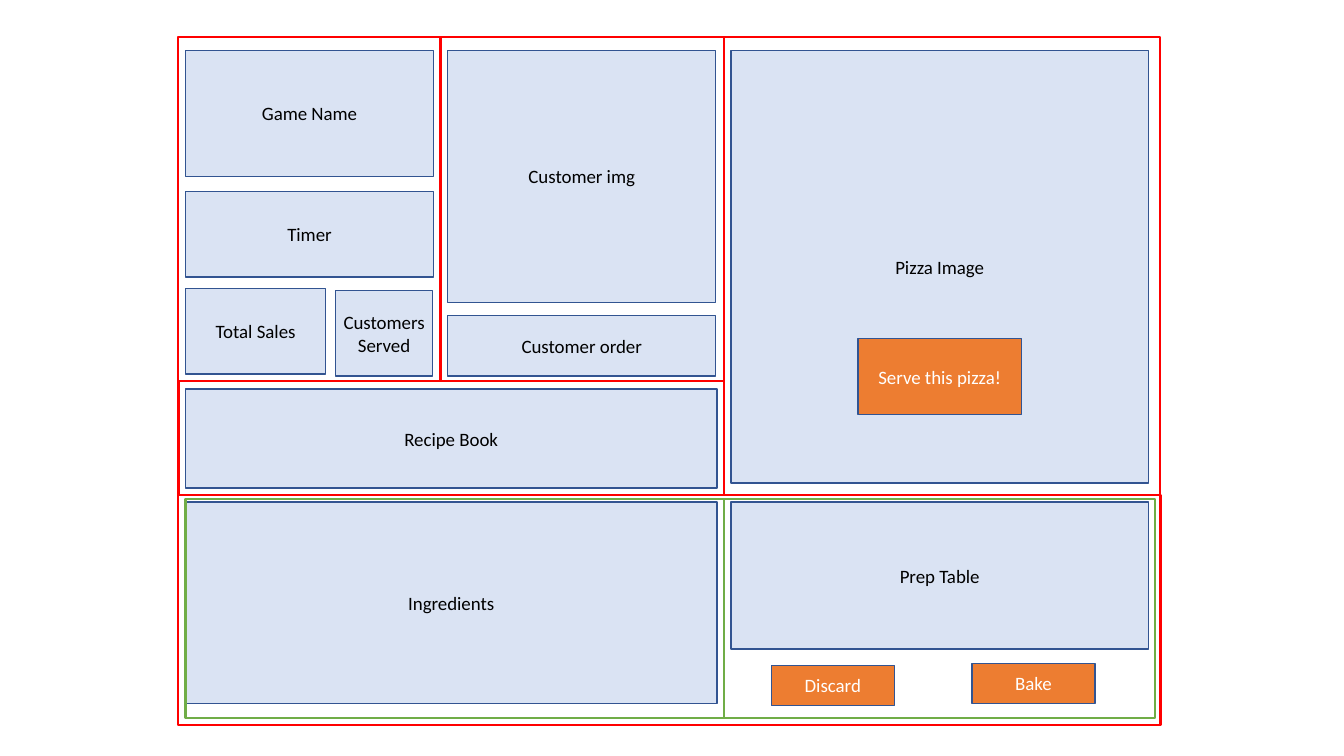
from pptx import Presentation
from pptx import util as u
from pptx.dml.color import RGBColor
from pptx.enum import shapes, text


def rgb(hex_code):
    return RGBColor.from_string(hex_code)


class Wireframe:
    FONT, SIZE = "Calibri", 13.5
    EDGE = "325491"
    PANEL, PANEL_INK = "DAE3F3", "000000"
    BUTTON, BUTTON_INK = "ED7D31", "FFFFFF"
    REGION, SUBREGION = "FF0000", "70AD47"

    def __init__(self, slide):
        self.slide = slide

    def outline(self, place, edge, weight=1.5):
        """Add an unfilled rectangle; place is left, top, width, height in inches."""
        box = self.slide.shapes.add_shape(
            shapes.MSO_SHAPE.RECTANGLE, *(u.Inches(length) for length in place))
        box.shadow.inherit = False
        box.fill.background()
        box.line.color.rgb = rgb(edge)
        box.line.width = u.Pt(weight)
        return box

    def block(self, label, place, fill, ink):
        box = self.outline(place, self.EDGE, 1)
        box.fill.solid()
        box.fill.fore_color.rgb = rgb(fill)
        frame = box.text_frame
        frame.word_wrap = True
        frame.vertical_anchor = text.MSO_ANCHOR.MIDDLE
        frame.margin_left = frame.margin_right = u.Inches(0.07)
        frame.margin_top = frame.margin_bottom = u.Inches(0.04)
        frame.text = label
        paragraph = frame.paragraphs[0]
        paragraph.alignment = text.PP_ALIGN.CENTER
        font = paragraph.runs[0].font
        font.name, font.size = self.FONT, u.Pt(self.SIZE)
        font.color.rgb = rgb(ink)

    def panel(self, label, *place):
        self.block(label, place, self.PANEL, self.PANEL_INK)

    def button(self, label, *place):
        self.block(label, place, self.BUTTON, self.BUTTON_INK)


def main():
    deck = Presentation()
    deck.slide_width, deck.slide_height = u.Inches(13.33), u.Inches(7.5)
    screen = Wireframe(deck.slides.add_slide(deck.slide_layouts[6]))

    # Panel columns and the rows they share
    status, customer, pizza = 1.84, 4.44, 7.25
    status_width, customer_width, pizza_width = 2.46, 2.66, 4.14
    wide = 5.27
    top, kitchen = 0.5, 4.98

    screen.panel("Recipe Book", status, 3.86, wide, 0.98)
    screen.panel("Ingredients", status, kitchen, wide, 2)
    screen.panel("Customer img", customer, top, customer_width, 2.5)
    screen.panel("Customer order", customer, 3.13, customer_width, 0.6)
    screen.panel("Pizza Image", pizza, top, pizza_width, 4.29)
    screen.panel("Prep Table", pizza, kitchen, pizza_width, 1.46)
    screen.button("Bake", 9.64, 6.58, 1.22, 0.4)
    screen.button("Serve this pizza!", 8.51, 3.36, 1.62, 0.75)
    screen.button("Discard", 7.65, 6.6, 1.22, 0.4)
    screen.panel("Game Name", status, top, status_width, 1.25)
    screen.panel("Timer", status, 1.9, status_width, 0.85)
    screen.panel("Total Sales", status, 2.86, 1.39, 0.85)
    screen.panel("Customers Served", 3.33, 2.88, 0.96, 0.85)

    # Edges of the layout regions: left, top, right, bottom
    left, status_right, middle, right = 1.77, 4.37, 7.18, 11.51
    upper, recipe_top, kitchen_top, lower = 0.37, 3.78, 4.91, 7.19
    inner_top, inner_bottom = 4.95, 7.12
    regions = [
        (screen.REGION, left, upper, status_right, recipe_top),
        (screen.REGION, status_right, upper, middle, recipe_top),
        (screen.REGION, left, recipe_top, middle, kitchen_top),
        (screen.REGION, left, kitchen_top, right, lower),
        (screen.REGION, middle, upper, right, kitchen_top),
        (screen.SUBREGION, middle, inner_top, 11.46, inner_bottom),
        (screen.SUBREGION, status, inner_top, middle, inner_bottom),
    ]
    for edge, x1, y1, x2, y2 in regions:
        screen.outline((x1, y1, x2 - x1, y2 - y1), edge)

    deck.save("out.pptx")


if __name__ == "__main__":
    main()
